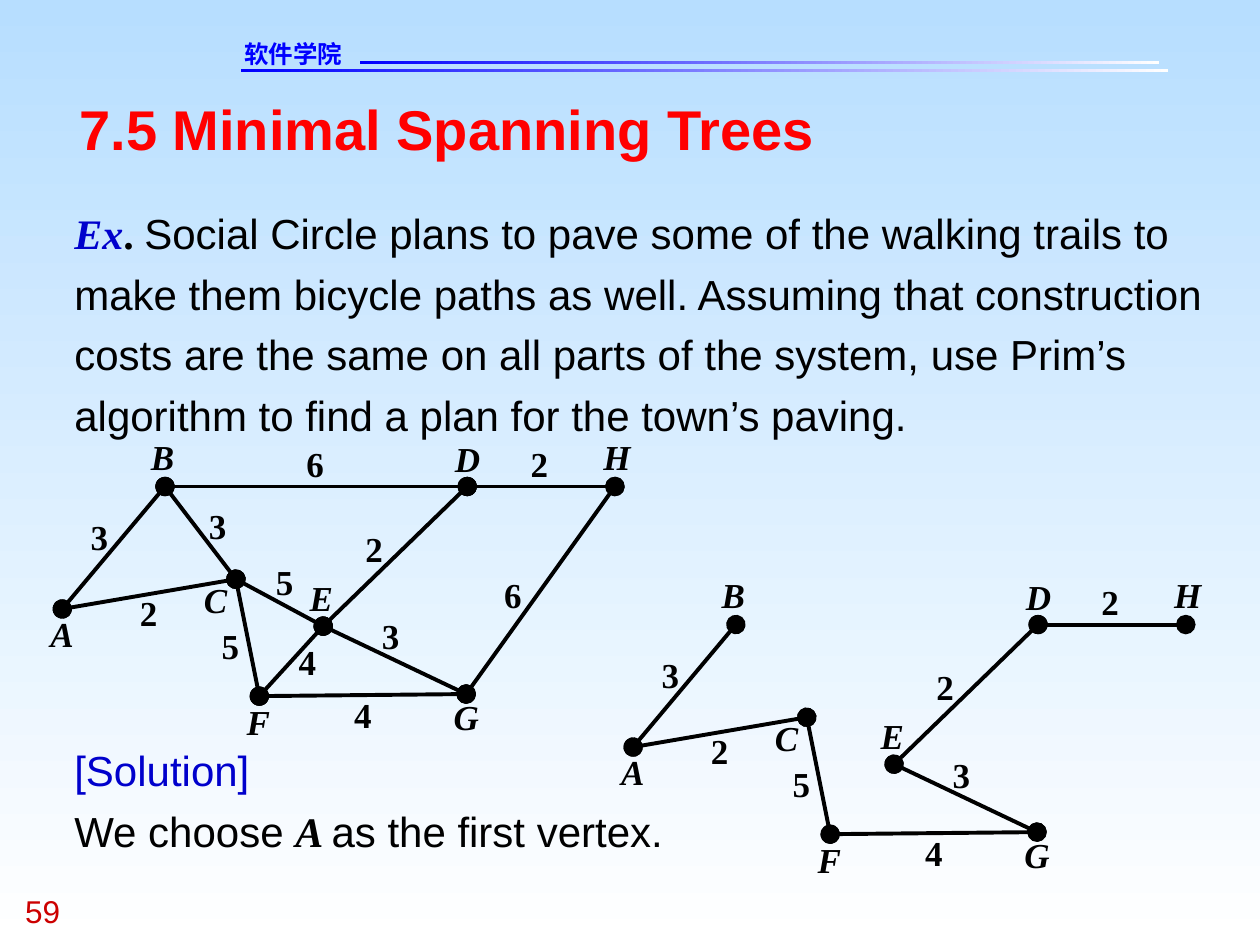
from lxml.etree import SubElement
from pptx import Presentation
from pptx.dml.color import RGBColor
from pptx.enum.shapes import MSO_CONNECTOR, MSO_SHAPE
from pptx.enum.text import MSO_AUTO_SIZE, PP_ALIGN
from pptx.oxml.ns import qn
from pptx.util import Pt

BLACK, BLUE, DARK_BLUE, RED = "000000", "0000FF", "0000CC", "FF0000"
SANS, SERIF = "Arial", "Times New Roman"

# Each run: text, font, colour, bold, italic
EXAMPLE = [[
    ("Ex", SERIF, DARK_BLUE, True, True),
    (". ", SERIF, BLACK, True, False),
    ("Social Circle plans to pave some of the walking trails to make them "
     "bicycle paths as well. Assuming that construction costs are the same on "
     "all parts of the system, use Prim’s algorithm to find a plan for the "
     "town’s paving.", SANS, BLACK, False, False),
]]
SOLUTION = [
    [("[Solution]", SANS, DARK_BLUE, False, False)],
    [("We choose ", SANS, BLACK, False, False),
     ("A ", SERIF, BLACK, True, True),
     ("as the first vertex.", SANS, BLACK, False, False)],
]

# Vertex: its point, then the top left corner of its label
VERTICES = {
    "A": ((35.6, 348), (28.8, 350)),
    "B": ((94.3, 278), (86.2, 249)),
    "C": ((134.8, 331), (116.6, 330.3)),
    "D": ((267, 278), (260, 250)),
    "E": ((184.7, 357.8), (177, 329.2)),
    "F": ((148.2, 397.8), (141, 400.4)),
    "G": ((266.4, 396.6), (259.2, 397.3)),
    "H": ((351.4, 278), (344.8, 249)),
}
# Edge: its weight, then the top left corner of the weight
EDGES = {
    "AB": (3, (51.8, 294.4)),
    "AC": (2, (80, 338)),
    "BC": (3, (119.3, 288)),
    "BD": (6, (175, 252.8)),
    "DH": (2, (303.2, 252.8)),
    "DE": (2, (208.8, 301.6)),
    "HG": (6, (288, 327.8)),
    "CF": (5, (126.7, 357)),
    "CE": (5, (157.7, 320.4)),
    "EF": (4, (170.6, 366)),
    "FG": (4, (202.4, 396.2)),
    "EG": (3, (218.2, 351.4)),
}
TREE = ["AB", "AC", "CF", "FG", "EG", "DE", "DH"]
TREE_SHIFT = (326.2, 78.9)


def rgb(color):
    return RGBColor.from_string(color)


def set_gradient(fill, colors, angle):
    fill.gradient()
    fill.gradient_angle = angle
    for stop, color in zip(fill.gradient_stops, colors):
        stop.color.rgb = rgb(color)


def style(font, name, color, bold=False, italic=False):
    font.name = name
    font.color.rgb = rgb(color)
    font.bold = bold
    font.italic = italic


def add_box(shapes, left, top, width, height, wrap=True):
    frame = shapes.add_textbox(Pt(left), Pt(top), Pt(width), Pt(height)).text_frame
    frame.margin_left = frame.margin_right = frame.margin_top = frame.margin_bottom = 0
    frame.word_wrap = wrap
    frame.auto_size = MSO_AUTO_SIZE.SHAPE_TO_FIT_TEXT
    return frame


def add_line(shapes, box, text, size, name, color, bold=False, italic=False, wrap=True):
    paragraph = add_box(shapes, *box, wrap=wrap).paragraphs[0]
    paragraph.text = text
    paragraph.font.size = Pt(size)
    style(paragraph.font, name, color, bold, italic)
    return paragraph


def add_body(shapes, box, paragraphs):
    frame = add_box(shapes, *box)
    for index, runs in enumerate(paragraphs):
        paragraph = frame.add_paragraph() if index else frame.paragraphs[0]
        paragraph.line_spacing = 1.2
        paragraph.font.size = Pt(24)
        for text, *look in runs:
            run = paragraph.add_run()
            run.text = text
            style(run.font, *look)


def add_label(shapes, text, corner, shift, width, italic):
    box = (corner[0] + shift[0], corner[1] + shift[1], width, 24)
    paragraph = add_line(shapes, box, text, 20, SERIF, BLACK, True, italic, wrap=False)
    paragraph.alignment = PP_ALIGN.JUSTIFY


def add_edge(shapes, start, end, shift):
    points = [Pt(value + move) for point in (start, end)
              for value, move in zip(point, shift)]
    connector = shapes.add_connector(MSO_CONNECTOR.STRAIGHT, *points)
    connector.line.color.rgb = rgb(BLACK)
    connector.line.width = Pt(2.25)
    line = connector.line._get_or_add_ln()
    for end_tag in ("a:headEnd", "a:tailEnd"):
        SubElement(line, qn(end_tag), type="oval", w="lg", len="lg")
    SubElement(connector._element.spPr, qn("a:effectLst"))


def add_graph(shapes, edges, shift=(0, 0)):
    for first, second in edges:
        add_edge(shapes, VERTICES[first][0], VERTICES[second][0], shift)
    for name, (_, corner) in VERTICES.items():
        add_label(shapes, name, corner, shift, 14, True)
    for edge in edges:
        weight, corner = EDGES[edge]
        add_label(shapes, str(weight), corner, shift, 10, False)


def main():
    presentation = Presentation()
    presentation.slide_width, presentation.slide_height = Pt(720), Pt(540)
    slide = presentation.slides.add_slide(presentation.slide_layouts[6])
    shapes = slide.shapes
    set_gradient(slide.background.fill, ("B7DEFF", "FFFFFF"), 270)

    # Header bars, school name and page number
    for left, top, width in ((137.5, 39.5, 530), (206, 35, 456.5)):
        bar = shapes.add_shape(MSO_SHAPE.RECTANGLE, Pt(left), Pt(top), Pt(width), Pt(1.5))
        bar.shadow.inherit = False
        bar.line.fill.background()
        set_gradient(bar.fill, ("FFFFFF", BLUE), 180)
    school = add_line(shapes, (139.5, 22.3, 104.4, 16.6), "软件学院", 14,
                      "DejaVu Sans", BLUE, True)
    for latin in list(school._p.iter(qn("a:latin"))):
        SubElement(latin.getparent(), qn("a:ea"), typeface="DejaVu Sans")
    add_line(shapes, (14.4, 510, 54, 21.6), "59", 18, SANS, "CC0000")

    # Title and text
    add_line(shapes, (45.4, 54, 630, 38), "7.5 Minimal Spanning Trees", 32, SANS, RED, True)
    add_body(shapes, (42.5, 419.8, 350, 104), SOLUTION)
    add_body(shapes, (42.5, 113, 646, 138), EXAMPLE)

    # Spanning tree, then the whole graph
    add_graph(shapes, TREE, TREE_SHIFT)
    add_graph(shapes.add_group_shape().shapes, list(EDGES))
    presentation.save("out.pptx")


if __name__ == "__main__":
    main()
